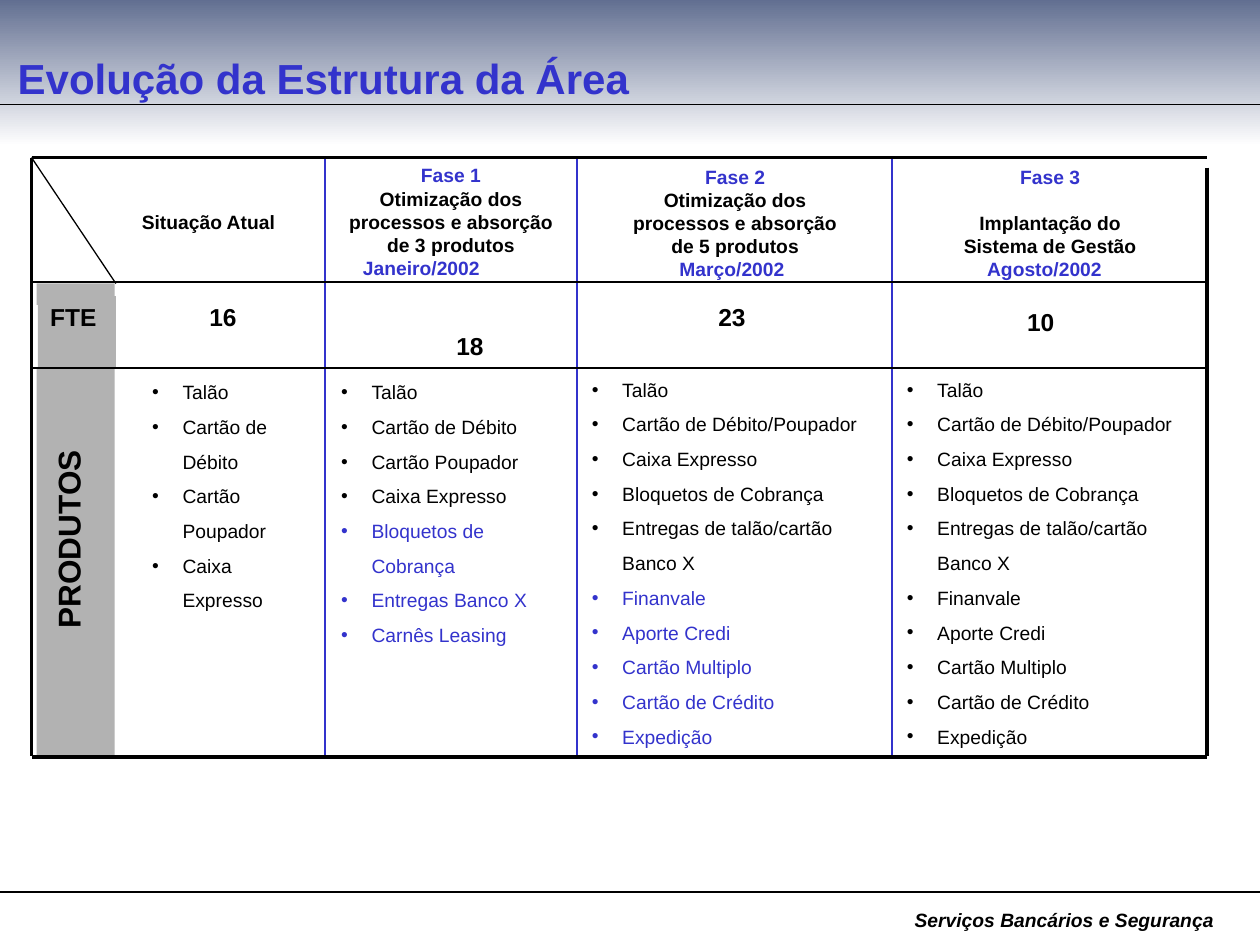
import lxml.etree
import pptx
import pptx.dml.color
import pptx.enum.shapes
import pptx.enum.text
import pptx.oxml.ns
import pptx.util

Inches = pptx.util.Inches
Pt = pptx.util.Pt
ALIGN = pptx.enum.text.PP_ALIGN
ANCHOR = pptx.enum.text.MSO_ANCHOR
RECT = pptx.enum.shapes.MSO_SHAPE.RECTANGLE
STRAIGHT = pptx.enum.shapes.MSO_CONNECTOR.STRAIGHT
rgb = pptx.dml.color.RGBColor.from_string
qn = pptx.oxml.ns.qn
BLUE, BLACK, GREY = "3333CC", "000000", "B2B2B2"


def add_run(p, text, size, color, bold=True, italic=False):
    r = p.add_run()
    r.text = text
    r.font.name = "Arial"
    r.font.size = Pt(size)
    r.font.bold = bold
    r.font.italic = italic
    r.font.color.rgb = rgb(color)


def add_box(x, y, w, h, wrap=True):
    sp = s.shapes.add_textbox(Inches(x), Inches(y), Inches(w), Inches(h))
    sp.text_frame.word_wrap = wrap
    return sp


prs = pptx.Presentation()
prs.slide_width, prs.slide_height = Inches(10), Inches(7.5)
s = prs.slides.add_slide(prs.slide_layouts[5])

sp = s.shapes.title
sp.left, sp.top, sp.width, sp.height = Inches(0), Inches(-0.17), Inches(10), Inches(1.33)
sp.fill.gradient()
sp.fill.gradient_angle = 270
for stop, (position, color) in zip(sp.fill.gradient_stops, [(0, "4B5A81"), (1, "FFFFFF")]):
    stop.position = position
    stop.color.rgb = rgb(color)
tf = sp.text_frame
tf.auto_size = pptx.enum.text.MSO_AUTO_SIZE.NONE
tf.vertical_anchor = ANCHOR.MIDDLE
tf.margin_left = Inches(0.14)
p = tf.paragraphs[0]
p.alignment = ALIGN.LEFT
p.line_spacing = 1.6
add_run(p, "Evolução da Estrutura da Área", 24, BLUE)

for x, y, w, h in [(0.29, 2.92, 0.62, 3.08), (0.3, 2.35, 0.62, 0.57), (0.29, 2.25, 0.62, 0.17)]:
    sp = s.shapes.add_shape(RECT, Inches(x), Inches(y), Inches(w), Inches(h))
    sp.shadow.inherit = False
    sp.fill.solid()
    sp.fill.fore_color.rgb = rgb(GREY)
    sp.line.fill.background()
    if y == 2.35:
        tf = sp.text_frame
        tf.word_wrap = False
        tf.vertical_anchor = ANCHOR.TOP
        tf.paragraphs[0].alignment = ALIGN.LEFT
        add_run(tf.paragraphs[0], "FTE", 14, BLACK)

sp = add_box(-0.51, 3.93, 2.4, 0.7)
sp.rotation = 270
p = sp.text_frame.paragraphs[0]
p.alignment = ALIGN.CENTER
add_run(p, "PRODUTOS", 18, BLACK)

headers = [
    (0.74, 1.62, 1.83, 0.29, 0, 0, [("Situação Atual", BLACK)]),
    (2.58, 1.25, 2, 1.02, 0, 0.47,
     [("Fase 1", BLUE), ("Otimização dos", BLACK), ("processos e absorção", BLACK),
      ("de 3 produtos", BLACK), ("Janeiro/2002", BLUE)]),
    (4.92, 1.26, 1.83, 1.02, 0, 0.05,
     [("Fase 2", BLUE), ("Otimização dos processos e absorção de 5 produtos", BLACK),
      ("Março/2002", BLUE)]),
    (7.42, 1.26, 1.83, 1.02, 13, 0.09,
     [("Fase 3", BLUE), ("Implantação do Sistema de Gestão", BLACK), ("Agosto/2002", BLUE)]),
]
for x, y, w, h, gap, date_indent, lines in headers:
    tf = add_box(x, y, w, h).text_frame
    for i, (text, color) in enumerate(lines):
        p = tf.add_paragraph() if i else tf.paragraphs[0]
        p.alignment = ALIGN.CENTER
        if i == 1 and gap:
            p.space_before = Pt(gap)
        if i and i == len(lines) - 1:
            p._p.get_or_add_pPr().set("marR", str(Inches(date_indent)))
        add_run(p, text, 11, color)

for center, y, number in [(1.77, 2.35, "16"), (3.73, 2.58, "18"), (5.81, 2.35, "23"), (8.26, 2.39, "10")]:
    p = add_box(center - 0.35, y, 0.7, 0.34).text_frame.paragraphs[0]
    p.alignment = ALIGN.CENTER
    add_run(p, number, 14, BLACK)

final_products = ["Talão", "Cartão de Débito/Poupador", "Caixa Expresso", "Bloquetos de Cobrança",
                  "Entregas de talão/cartão Banco X", "Finanvale", "Aporte Credi",
                  "Cartão Multiplo", "Cartão de Crédito", "Expedição"]
current_products = ["Talão", "Cartão de Débito", "Cartão Poupador", "Caixa Expresso"]
phase1_products = current_products + ["Bloquetos de Cobrança", "Entregas Banco X", "Carnês Leasing"]
products = [
    (1.11, 2.88, 1.42, 2.03, current_products, 4),
    (2.61, 2.88, 1.85, 2.3, phase1_products, 4),
    (4.6, 2.86, 2.57, 3.13, final_products, 5),
    (7.1, 2.86, 2.57, 3.13, final_products, 10),
]
for x, y, w, h, names, known in products:
    tf = add_box(x, y, w, h).text_frame
    for i, name in enumerate(names):
        color = BLACK if i < known else BLUE
        p = tf.add_paragraph() if i else tf.paragraphs[0]
        p.line_spacing = 1.5
        pPr = p._p.get_or_add_pPr()
        pPr.set("marL", str(Inches(0.24)))
        pPr.set("indent", str(Inches(-0.24)))
        clr = lxml.etree.SubElement(pPr, qn("a:buClr"))
        lxml.etree.SubElement(clr, qn("a:srgbClr")).set("val", color)
        lxml.etree.SubElement(pPr, qn("a:buFont")).set("typeface", "Arial")
        lxml.etree.SubElement(pPr, qn("a:buChar")).set("char", "•")
        add_run(p, name, 11, color, bold=False)

p = add_box(7.16, 7.16, 2.58, 0.29, wrap=False).text_frame.paragraphs[0]
add_run(p, "Serviços Bancários e Segurança", 11, BLACK, italic=True)

left, right, top, bottom = 0.25, 9.58, 1.25, 6
rules = [(0, y, 10, y, BLACK, 0.75) for y in (0.83, 7.08)]
rules += [(x, top, x, bottom, BLUE, 0.75) for x in (2.58, 4.58, 7.08)]
rules += [(left, y, right, y, BLACK, width)
          for y, width in [(top, 2.25), (2.24, 1), (2.92, 0.75), (6.01, 2.25)]]
rules += [
    (left, top, left, bottom, BLACK, 2.25),
    (right, 1.33, right, bottom, BLACK, 2.25),
    (left, top, 0.92, 2.25, BLACK, 0.75),
]
for x1, y1, x2, y2, color, width in rules:
    ln = s.shapes.add_connector(STRAIGHT, Inches(x1), Inches(y1), Inches(x2), Inches(y2))
    ln.line.color.rgb = rgb(color)
    ln.line.width = Pt(width)
    lxml.etree.SubElement(ln._element.spPr, qn("a:effectLst"))

prs.save("out.pptx")
